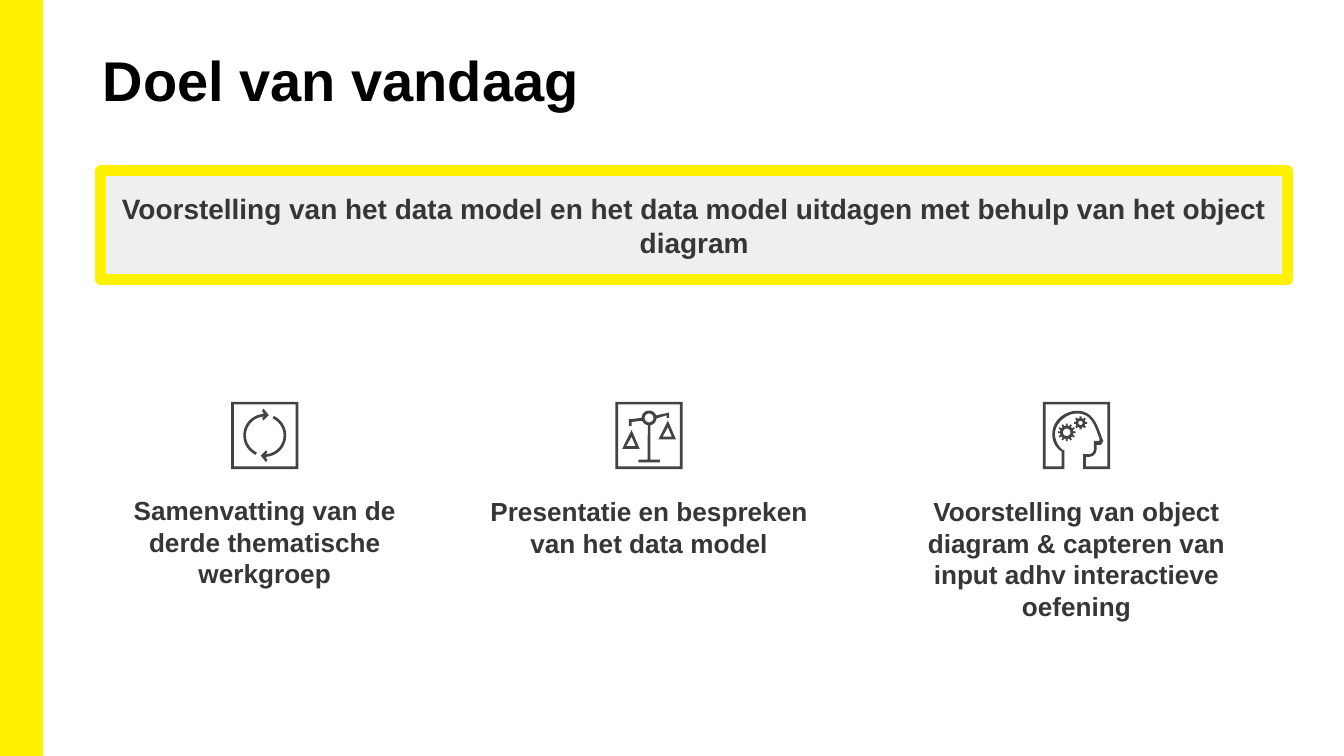
import math
from typing import NamedTuple

import pptx
import pptx.dml.color
import pptx.enum.shapes
import pptx.enum.text
import pptx.util

Pt = pptx.util.Pt
ALIGN = pptx.enum.text.PP_ALIGN
ANCHOR = pptx.enum.text.MSO_ANCHOR
RECT = pptx.enum.shapes.MSO_SHAPE.RECTANGLE

YELLOW, GREY, DARK, INK, BLACK = "FFF200", "EFEFEF", "373636", "434343", "000000"
UNIT = 0.72  # points in one step of the 50 by 50 icon grid
FINE = 0.01  # points in one freeform unit

Line = list[tuple[float, ...]]


class Box(NamedTuple):
    left: float
    top: float
    width: float
    height: float


class Goal(NamedTuple):
    text: str
    box: Box
    left: float  # left edge of the icon
    icon: list[list[Line]]  # each item is one shape made of closed outlines


def paint(fmt, code: str) -> None:
    """Set a fill, or the colour of a font, from a hex string."""
    if hasattr(fmt, "solid"):
        fmt.solid()
        fmt = fmt.fore_color
    fmt.rgb = pptx.dml.color.RGBColor.from_string(code)


def write(shape, text: str, size: float, code: str, align, anchor, pad: tuple[float, float]) -> None:
    frame = shape.text_frame
    frame.word_wrap = True
    frame.vertical_anchor = anchor
    frame.margin_left = frame.margin_right = Pt(pad[0])
    frame.margin_top = frame.margin_bottom = Pt(pad[1])
    par = frame.paragraphs[0]
    par.alignment = align
    run = par.add_run()
    run.text = text
    run.font.name, run.font.size, run.font.bold = "Arial", Pt(size), True
    paint(run.font.color, code)


def panel(slide, box: Box, fill: str, line: str, width: float):
    shape = slide.shapes.add_shape(RECT, *map(Pt, box))
    shape.shadow.inherit = False
    paint(shape.fill, fill)
    paint(shape.line.fill, line)
    shape.line.width = Pt(width)
    return shape


def label(slide, box: Box, text: str, size: float, code: str, align, pad: tuple[float, float]) -> None:
    shape = slide.shapes.add_textbox(*map(Pt, box))
    write(shape, text, size, code, align, ANCHOR.TOP, pad)


def arc(x: float, y: float, r: float, start: float, end: float) -> Line:
    """Points on a circle; degrees run clockwise from the right."""
    count = max(2, round(abs(end - start) / 10))
    turns = [math.radians(start + (end - start) * i / count) for i in range(count + 1)]
    return [(x + r * math.cos(t), y + r * math.sin(t)) for t in turns]


def gear(x: float, y: float, r: float, root: float, hole: float, teeth: int) -> list[Line]:
    rim = []
    step = 360 / teeth
    for i in range(teeth):
        for lean, reach in ((-0.25, root), (-0.2, r), (0.2, r), (0.25, root)):
            turn = math.radians((i + lean) * step)
            rim.append((x + reach * math.cos(turn), y + reach * math.sin(turn)))
    return [rim, arc(x, y, hole, 0, 360)]


def trace(line: Line) -> Line:
    """Flatten a line whose pairs are corners and whose sixes are cubic curves."""
    out = []
    for step in line:
        if len(step) == 2:
            out.append(step)
            continue
        ends = [out[-1], step[:2], step[2:4], step[4:]]
        for t in (i / 8 for i in range(1, 9)):
            mix = ((1 - t) ** 3, 3 * t * (1 - t) ** 2, 3 * t * t * (1 - t), t ** 3)
            out.append(tuple(sum(m * e[k] for m, e in zip(mix, ends)) for k in (0, 1)))
    return out


def shift(line: Line, dx: float, dy: float) -> Line:
    return [(x + dx, y + dy) for x, y in line]


def outline(slide, lines: list[Line], left: float, top: float) -> None:
    loops = [[(x * UNIT / FINE, y * UNIT / FINE) for x, y in trace(p)] for p in lines]
    pen = slide.shapes.build_freeform(*loops[0][0], scale=Pt(FINE))
    for i, loop in enumerate(loops):
        if i:
            pen.move_to(*loop[0])
        pen.add_line_segments(loop[1:], close=True)
    shape = pen.convert_to_shape(Pt(left), Pt(top))
    shape.shadow.inherit = False
    paint(shape.fill, INK)
    shape.line.fill.background()


def square(a: float, b: float) -> Line:
    return [(a, a), (a, b), (b, b), (b, a)]


FRAME = [square(0, 50), square(2, 48)]

ARROW = (arc(25, 25, 14, 180, 270) + [(23, 12), (24, 14), (28, 10), (24, 5), (23, 7), (24, 8)]
         + arc(25, 25, 16, 266, 115) + arc(25, 25, 14, 115, 180))
CYCLE = [FRAME, [ARROW], [[(50 - x, 50 - y) for x, y in ARROW]]]

PAN = [[(12, 21), (5, 35), (18, 35)], [(12, 26), (15, 33), (8, 33)]]
BEAM = ([(12, 15)] + arc(25, 12, 5.5, 158, 100)
        + [(24, 43), (17, 43), (17, 45), (33, 45), (33, 43), (26, 43)]
        + arc(25, 12, 5.5, 80, 5) + [(38, 10), (38, 12), (40, 12), (40, 8)]
        + arc(25, 12, 5.5, -20, -180) + [(10, 13), (10, 18), (12, 18)])
SCALES = [FRAME + PAN + [shift(p, 27, -7) for p in PAN] + [BEAM, arc(25, 12, 3.3, 0, 360)]]

OUTER = [(0, 0), (0, 50), (16, 50), (16, 36), (15, 36), (11, 33, 9, 28, 9, 24),
         (9, 17, 15, 11, 22, 9), (24, 8.7, 27, 8.7, 29, 9), (37, 11, 39, 19, 42, 27),
         (42, 29), (38, 29), (38, 35), (38, 38, 36, 39, 34, 39), (30, 39),
         (30, 50), (50, 50), (50, 0)]
INNER = [(48, 48), (32, 48), (32, 41), (34, 41), (37, 41, 40, 39, 40, 35), (40, 32),
         (43, 32), (44, 31), (45, 29), (44, 27), (41, 18, 38, 9, 29, 7),
         (27, 6.7, 24, 6.7, 22, 7), (13, 9, 7, 16, 7, 24), (7, 29, 9, 34, 14, 37),
         (14, 48), (2, 48), (2, 2), (48, 2)]
HEAD = [[OUTER, INNER], gear(17.7, 22.7, 6.6, 5, 2.8, 12), gear(28, 15.7, 4.9, 3.6, 1.6, 8)]

GOALS = [
    Goal("Samenvatting van de derde thematische werkgroep",
         Box(43.92, 261.4, 195.84, 92.2), 123.84, CYCLE),
    Goal("Presentatie en bespreken van het data model",
         Box(246.96, 262.1, 201.6, 92.2), 329.76, SCALES),
    Goal("Voorstelling van object diagram & capteren van input adhv interactieve oefening",
         Box(475.92, 262.1, 201.6, 92.2), 558.72, HEAD),
]


def main() -> None:
    deck = pptx.Presentation()
    deck.slide_width, deck.slide_height = Pt(720), Pt(405)
    slide = deck.slides.add_slide(deck.slide_layouts[6])
    panel(slide, Box(0, 0, 22.5, 405), YELLOW, YELLOW, 1)
    label(slide, Box(49.7, 21.6, 620.6, 58.3), "Doel van vandaag", 30, BLACK, ALIGN.LEFT, (5.4, 2.7))
    aim = panel(slide, Box(54, 91.5, 635.8, 58.3), GREY, YELLOW, 6)
    write(aim, "Voorstelling van het data model en het data model uitdagen met behulp van het object diagram",
          15, DARK, ALIGN.CENTER, ANCHOR.MIDDLE, (7.2, 3.6))
    for goal in GOALS:
        label(slide, goal.box, goal.text, 14, DARK, ALIGN.CENTER, (7.2, 3.6))
        for lines in goal.icon:
            outline(slide, lines, goal.left, 215.3)
    deck.save("out.pptx")


if __name__ == "__main__":
    main()
